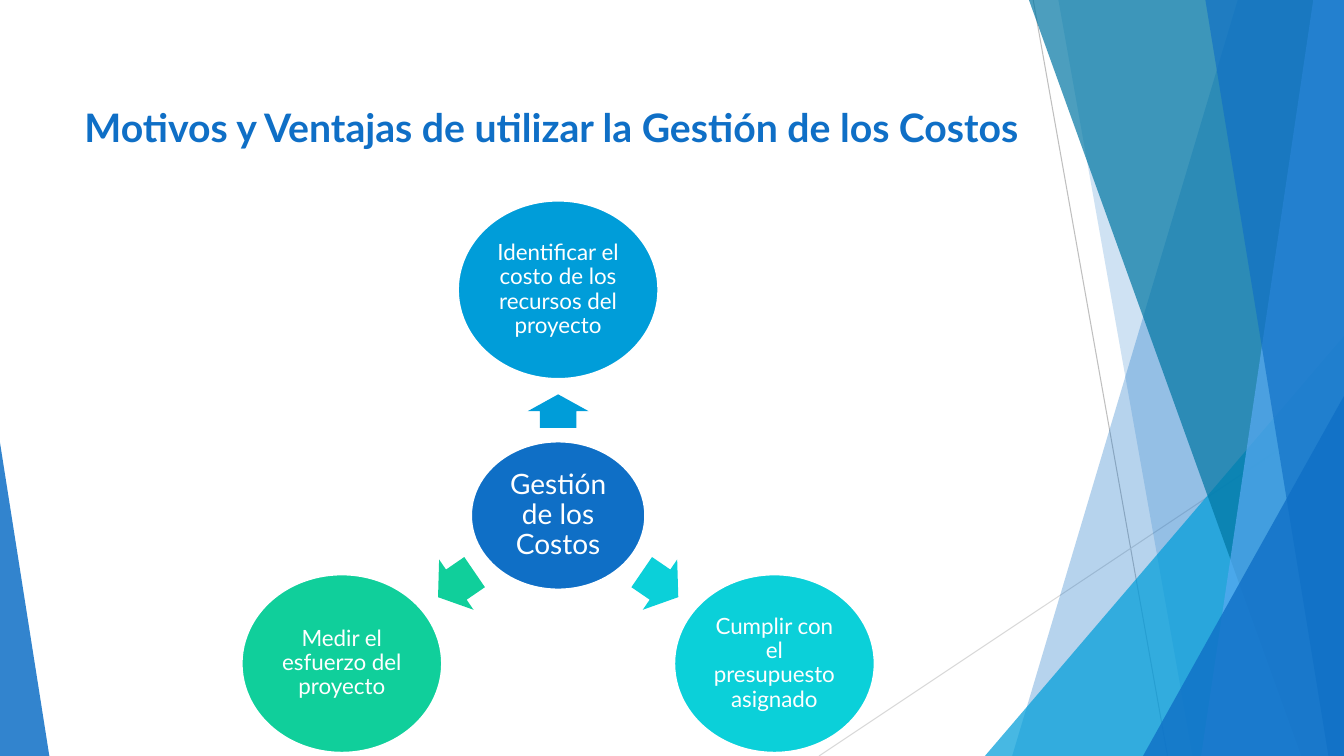
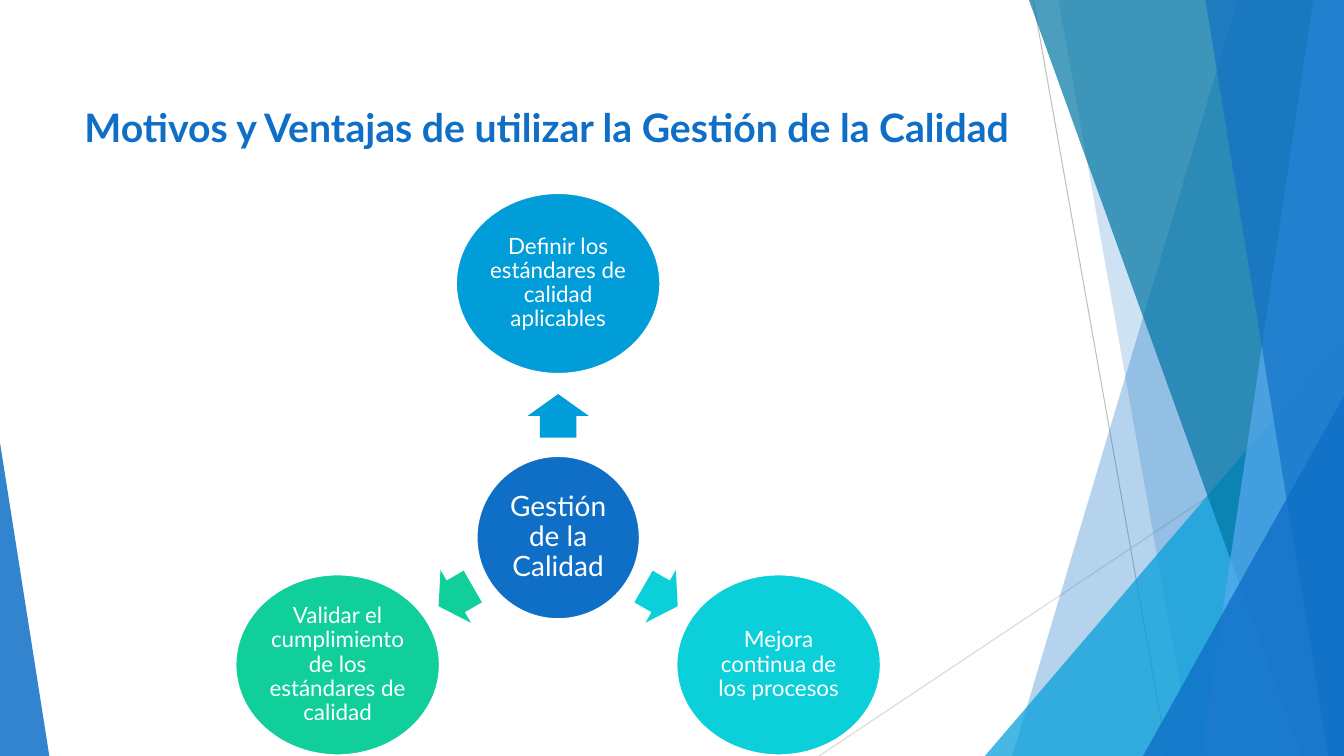
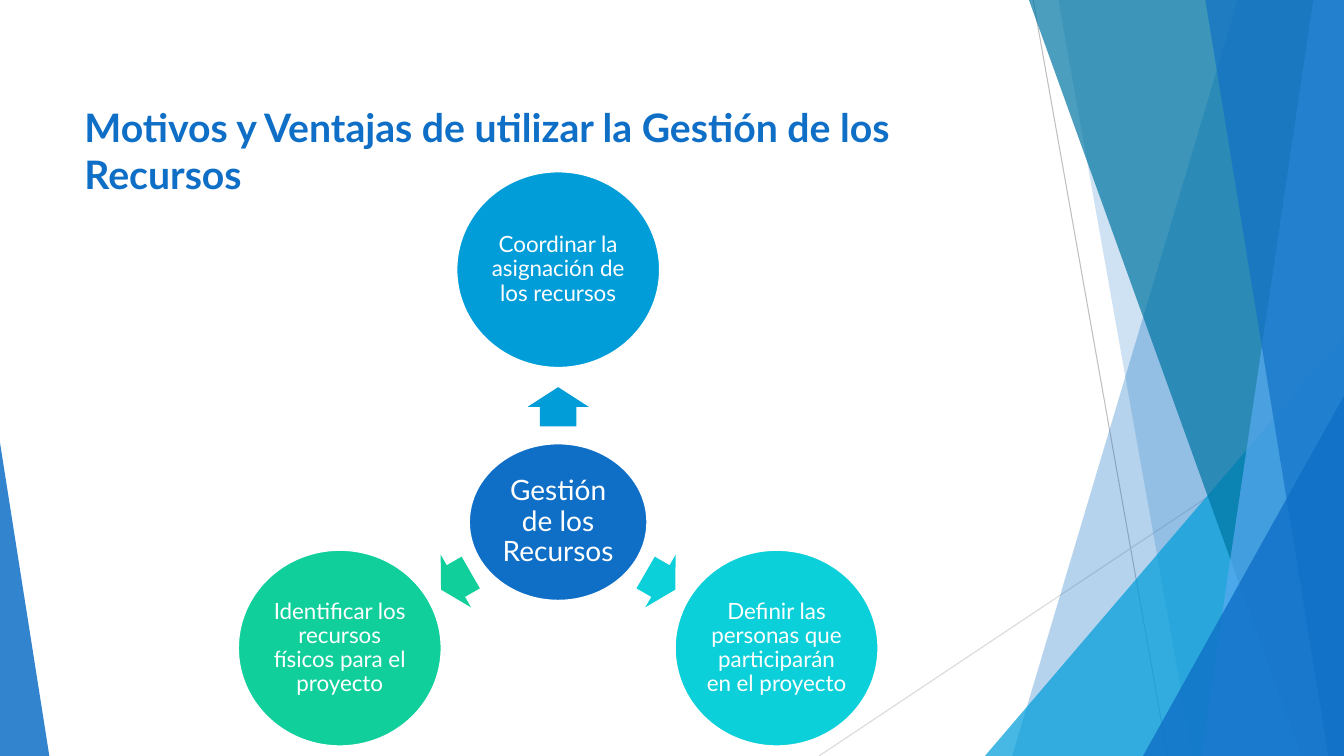
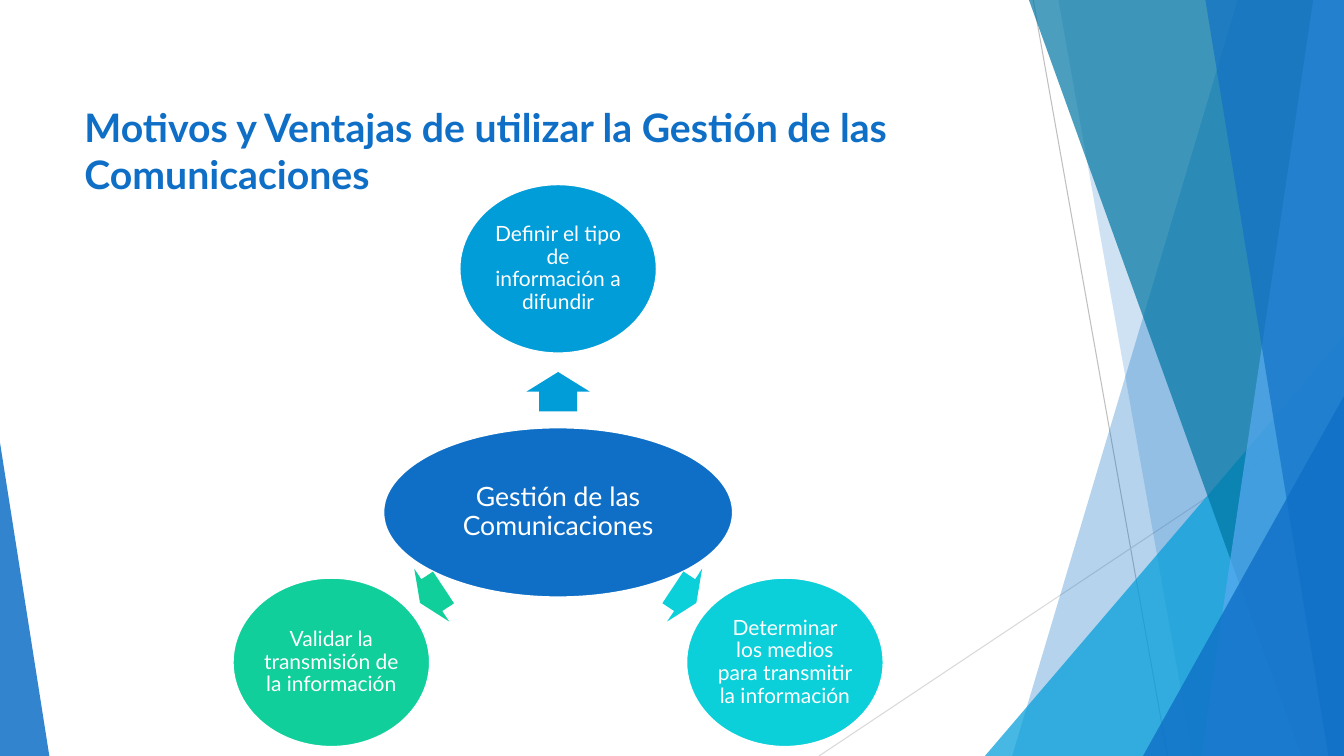
from dataclasses import dataclass
from math import atan2, degrees

from lxml.etree import SubElement
from pptx import Presentation
from pptx.dml.color import RGBColor
from pptx.enum.shapes import MSO_AUTO_SHAPE_TYPE as Form, MSO_CONNECTOR as Link
from pptx.enum.text import MSO_ANCHOR as Anchor, PP_ALIGN as Align
from pptx.oxml.ns import qn
from pptx.util import Emu, Pt

COLUMNS, ROWS = 64, 36
CELL = 190500


def cells(count):
    return Emu(round(count * CELL))


@dataclass(frozen=True)
class Theme:
    font: str = "Lato"
    title_size: int = 28
    white: str = "FFFFFF"
    blue: str = "0F6FC6"
    sky: str = "009DD9"
    teal: str = "0076A3"
    pale: str = "59AAF2"
    cyan: str = "0BD0D9"
    green: str = "10CF9B"
    gray: str = "BFBFBF"
    light_gray: str = "D9D9D9"


@dataclass(frozen=True)
class Wheel:
    title: str
    hub: str
    top: str
    right: str
    left: str
    hub_size: tuple
    spoke_size: tuple
    hub_y: float
    top_y: float
    low_y: float
    reach: float
    top_arrow: tuple
    side_arrow: tuple
    arrow_breadth: float = 2.9
    hub_type: int = 20
    spoke_type: int = 16


def write(box, text, *, size, color, font, bold=False, align=Align.LEFT,
          anchor=Anchor.TOP, spacing=None, inset=None):
    frame = box.text_frame
    frame.word_wrap = True
    frame.vertical_anchor = anchor
    if inset is not None:
        frame.margin_left = frame.margin_right = cells(inset)
        frame.margin_top = frame.margin_bottom = cells(inset)
    para = frame.paragraphs[0]
    para.alignment = align
    if spacing:
        para.line_spacing = spacing
    span = para.add_run()
    span.text = text
    span.font.name = font
    span.font.size = Pt(size)
    span.font.bold = bold
    span.font.color.rgb = RGBColor.from_string(color)


class Painter:
    def __init__(self, deck, theme):
        self.deck = deck
        self.theme = theme
        self.layout = deck.slide_layouts[6]
        self.page = None

    def new_page(self):
        self.page = self.deck.slides.add_slide(self.layout)

    def paint(self, shape, color, opacity=100, outline=None):
        shape.shadow.inherit = False
        shape.fill.solid()
        shape.fill.fore_color.rgb = RGBColor.from_string(color)
        if opacity < 100:
            tint = shape.element.spPr.find(qn("a:solidFill"))[0]
            SubElement(tint, qn("a:alpha"), val=str(opacity * 1000))
        if outline:
            shape.line.color.rgb = RGBColor.from_string(outline)
            shape.line.width = Pt(1.5)
        else:
            shape.line.fill.background()
        return shape

    def preset(self, form, left, top, width, height, color, **style):
        shape = self.page.shapes.add_shape(
            form, cells(left), cells(top), cells(width), cells(height))
        return self.paint(shape, color, **style)

    def line(self, start, end, color):
        line = self.page.shapes.add_connector(
            Link.STRAIGHT, *map(cells, start + end))
        line.line.color.rgb = RGBColor.from_string(color)
        line.line.width = Pt(0.75)
        SubElement(line.element.spPr, qn("a:effectLst"))

    def band(self, top_x, bottom_x, color, opacity):
        corners = [(top_x, 0), (COLUMNS, 0), (COLUMNS, ROWS), (bottom_x, ROWS)]
        points = [tuple(map(cells, corner)) for corner in corners]
        builder = self.page.shapes.build_freeform(*points[0], scale=1.0)
        builder.add_line_segments(points[1:], close=True)
        self.paint(builder.convert_to_shape(), color, opacity)

    def wedge(self, left, right, top, apex, color, opacity):
        shape = self.preset(Form.ISOSCELES_TRIANGLE, left, top, right - left,
                            ROWS - top, color, opacity=opacity)
        shape.adjustments[0] = apex

    def backdrop(self):
        theme = self.theme
        for holder in list(self.layout.placeholders):
            holder.element.getparent().remove(holder.element)
        self.line((49.2, 0), (55.6, ROWS), theme.gray)
        self.line((COLUMNS, 19.34), (39, ROWS), theme.light_gray)
        self.band(58.94, 48.2, theme.blue, 30)
        self.band(50.4, 56.8, theme.blue, 20)
        self.wedge(46.9, COLUMNS, 16, 1, theme.sky, 72)
        self.band(49, 61.97, theme.teal, 70)
        self.band(62.54, 57.2, theme.pale, 70)
        self.band(57.4, 63.26, theme.blue, 65)
        self.wedge(54.43, COLUMNS, 18.86, 1, theme.blue, 80)
        self.wedge(0, 2.35, 21.07, 0, theme.blue, 85)
        for shape in list(self.page.shapes):
            self.layout.shapes.element.append(shape.element)

    def title(self, text):
        box = self.page.shapes.add_textbox(
            cells(3.55), cells(4.7), cells(46.1), cells(3.6))
        write(box, text, size=self.theme.title_size, color=self.theme.blue,
              font=self.theme.font, bold=True)

    def bubble(self, center_x, center_y, extent, text, color, size, inset):
        width, height = extent
        shape = self.preset(Form.OVAL, center_x - width / 2,
                            center_y - height / 2, width, height, color,
                            outline=self.theme.white)
        write(shape, text, size=size, color=self.theme.white,
              font=self.theme.font, align=Align.CENTER, anchor=Anchor.MIDDLE,
              spacing=0.9, inset=inset)

    def arrow(self, center_x, center_y, length, breadth, angle, color):
        shape = self.preset(Form.RIGHT_ARROW, center_x - length / 2,
                            center_y - breadth / 2, length, breadth, color)
        shape.adjustments[0] = 0.6
        shape.adjustments[1] = 0.5
        shape.rotation = angle

    def wheel(self, wheel):
        theme, middle = self.theme, 26.58
        self.title(wheel.title)
        self.bubble(middle, wheel.hub_y, wheel.hub_size, wheel.hub,
                    theme.blue, wheel.hub_type, 0.14)
        tilt = degrees(atan2(wheel.low_y - wheel.hub_y, wheel.reach))
        top_arrow = (0, *wheel.top_arrow)
        spokes = [
            (wheel.top, 0, wheel.top_y, top_arrow, 270, theme.sky),
            (wheel.right, 1, wheel.low_y, wheel.side_arrow, tilt, theme.cyan),
            (wheel.left, -1, wheel.low_y, wheel.side_arrow, 180 - tilt,
             theme.green),
        ]
        for text, side, spoke_y, (offset, arrow_y, length), angle, color in spokes:
            self.arrow(middle + side * offset, arrow_y, length,
                       wheel.arrow_breadth, angle, color)
            self.bubble(middle + side * wheel.reach, spoke_y,
                        wheel.spoke_size, text, color, wheel.spoke_type, 0.1)


WHEELS = [
    Wheel(
        title="Motivos y Ventajas de utilizar la Gestión de los Costos",
        hub="Gestión de los Costos",
        top="Identificar el costo de los recursos del proyecto",
        right="Cumplir con el presupuesto asignado",
        left="Medir el esfuerzo del proyecto",
        hub_size=(8.3, 7.06), spoke_size=(9.55, 8.5),
        hub_y=24.55, top_y=13.8, low_y=31.6, reach=10.3,
        top_arrow=(19.58, 1.6), side_arrow=(4.85, 27.84, 2.11)),
    Wheel(
        title="Motivos y Ventajas de utilizar la Gestión de la Calidad",
        hub="Gestión de la Calidad",
        top="Definir los estándares de calidad aplicables",
        right="Mejora continua de los procesos",
        left="Validar el cumplimiento de los estándares de calidad",
        hub_size=(7.78, 7.78), spoke_size=(9.74, 8.62),
        hub_y=25.6, top_y=13.5, low_y=31.66, reach=10.5,
        top_arrow=(19.8, 2.07), side_arrow=(4.88, 28.4, 1.88)),
    Wheel(
        title="Motivos y Ventajas de utilizar la Gestión de los Recursos",
        hub="Gestión de los Recursos",
        top="Coordinar la asignación de los recursos",
        right="Definir las personas que participarán en el proyecto",
        left="Identificar los recursos físicos para el proyecto",
        hub_size=(8.5, 7.5), spoke_size=(9.7, 9.36),
        hub_y=24.86, top_y=12.84, low_y=30.86, reach=10.4,
        top_arrow=(19.37, 1.87), side_arrow=(4.87, 27.67, 1.63)),
    Wheel(
        title="Motivos y Ventajas de utilizar la Gestión de las Comunicaciones",
        hub="Gestión de las Comunicaciones",
        top="Definir el tipo de información a difundir",
        right="Determinar los medios para transmitir la información",
        left="Validar la transmisión de la información",
        hub_size=(16.66, 8.1), spoke_size=(9.4, 8.06),
        hub_y=24.4, top_y=12.8, low_y=31.54, reach=10.8,
        top_arrow=(18.65, 1.87), side_arrow=(6.02, 28.34, 1.34),
        arrow_breadth=3.02, hub_type=19, spoke_type=15),
]


def main():
    deck = Presentation()
    deck.slide_width, deck.slide_height = cells(COLUMNS), cells(ROWS)
    painter = Painter(deck, Theme())
    for index, wheel in enumerate(WHEELS):
        painter.new_page()
        if index == 0:
            painter.backdrop()
        painter.wheel(wheel)
    deck.save("out.pptx")


if __name__ == "__main__":
    main()
